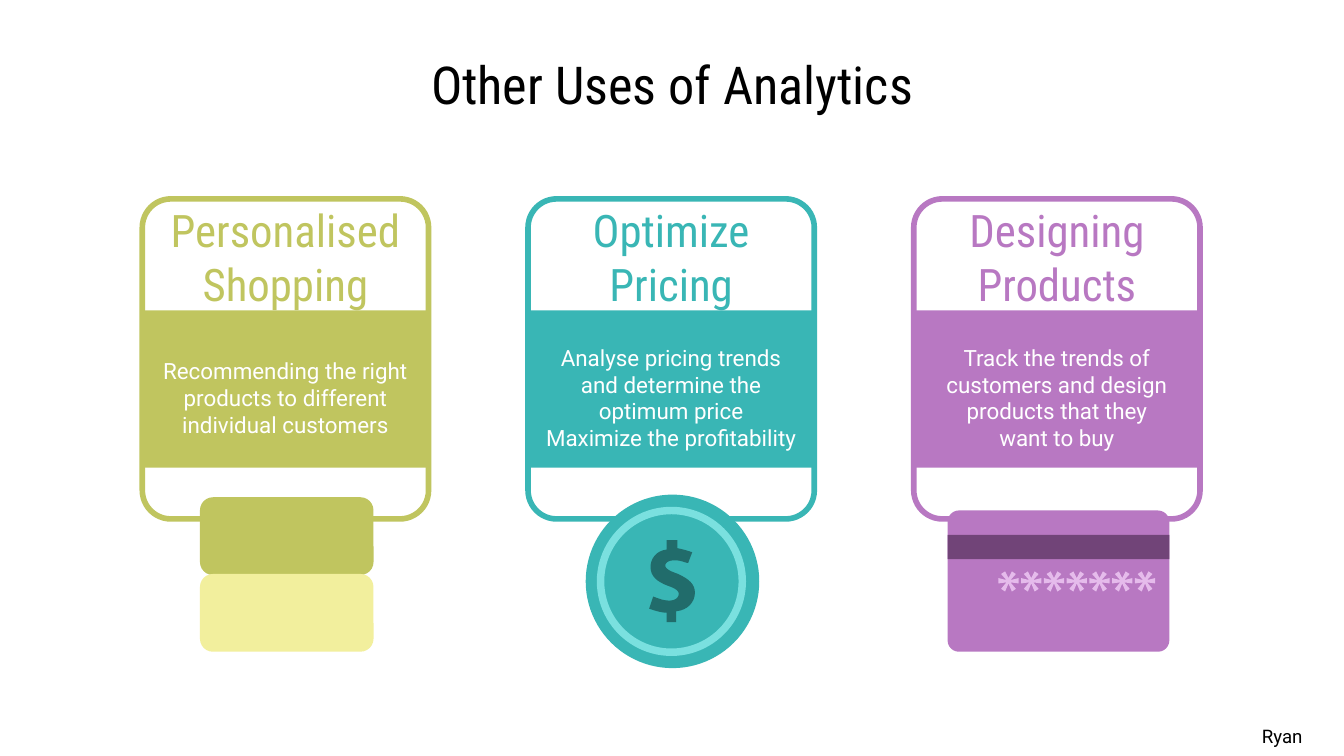
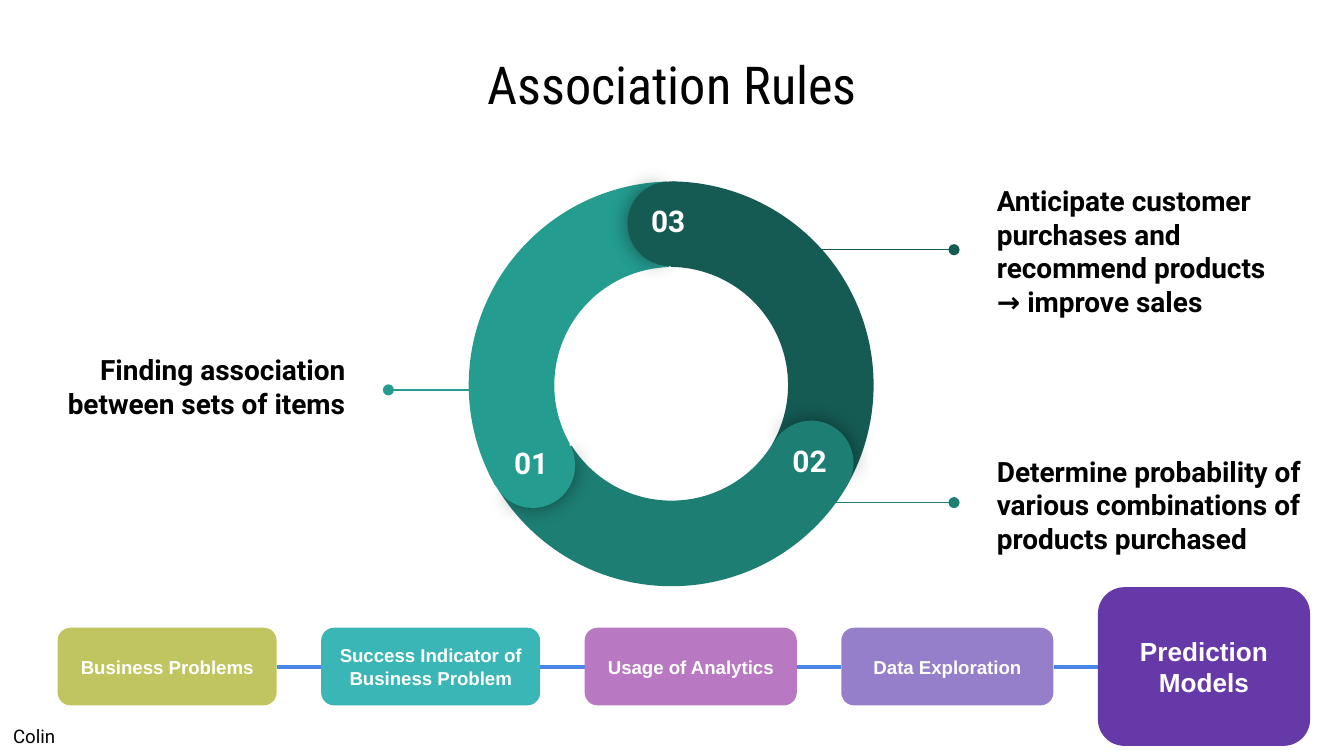
"""Build two slides: uses of analytics and association rules."""
from lxml import etree
from pptx import Presentation, util as u
from pptx.dml.color import RGBColor
from pptx.enum import shapes, text
from pptx.oxml.ns import qn

KIND, ANCHOR, ALIGN = shapes.MSO_SHAPE, text.MSO_ANCHOR, text.PP_ALIGN
BLACK, WHITE = RGBColor(0, 0, 0), RGBColor(255, 255, 255)
OLIVE, CREAM = RGBColor(0xC0, 0xC5, 0x5F), RGBColor(0xF2, 0xEF, 0x9D)
AQUA, MINT = RGBColor(0x39, 0xB6, 0xB5), RGBColor(0x7A, 0xE0, 0xDF)
DEEP = RGBColor(0x21, 0x6C, 0x6B)
ORCHID, PLUM = RGBColor(0xB8, 0x78, 0xC2), RGBColor(0x71, 0x44, 0x78)
PINK = RGBColor(0xE5, 0xBB, 0xEB)
LILAC, GRAPE = RGBColor(0x95, 0x7F, 0xCA), RGBColor(0x66, 0x39, 0xA8)
BLUE = RGBColor(0x4A, 0x86, 0xE8)
DARK, MID, TEAL = (RGBColor(0x15, 0x5B, 0x54), RGBColor(0x1D, 0x7E, 0x74),
                   RGBColor(0x24, 0x9C, 0x90))
BODY, HEAD, PLAIN = "Roboto", "Roboto Condensed", "Arial"

CARDS = [
    ("Personalised Shopping", OLIVE,
     ["Recommending the right products to different individual customers"]),
    ("Optimize Pricing", AQUA,
     ["Analyse pricing trends and determine the optimum price",
      "Maximize the profitability"]),
    ("Designing Products", ORCHID,
     ["Track the trends of customers and design products that they",
      "want to buy"]),
]
STEPS = [
    ("Business Problems", OLIVE, 4.14, 1.47, 10),
    ("Success Indicator of Business Problem", AQUA, 4.14, 1.47, 10),
    ("Usage of Analytics", ORCHID, 4.01, 1.47, 10),
    ("Data Exploration", LILAC, 4.01, 1.47, 10),
    ("Prediction Models", GRAPE, 4.01, 3, 14),
]
CALLS = [
    ("Finding association between sets of items", TEAL,
     (0.89, 5.51, 5.89, 3.58), ALIGN.RIGHT, (9.09, 7.34, 7.37)),
    ("Anticipate customer purchases and recommend products → improve sales",
     DARK, (18.59, 2.95, 5.89, 3.58), ALIGN.LEFT, (14.48, 18.03, 4.72)),
    ("Determine probability of various combinations of products purchased",
     MID, (18.59, 7.75, 6.4, 3.58), ALIGN.LEFT, (14.48, 18.03, 9.5)),
]
ARCS = [
    (DARK, 60, (8.81, 3.43), (126.23, 197.82, 0.21)),
    (MID, 180, (8.84, 3.38), (126.23, 196.63, 0.21)),
    (TEAL, 300, (8.86, 3.43), (126.23, 197.03, 0.21)),
]
CAPS = [
    ("01", TEAL, 300, (9.27, 8)),
    ("03", DARK, 60, (11.86, 3.43)),
    ("02", MID, 180, (14.53, 7.95)),
]
DOLLAR = [
    (13, 0), (13, 7), (5, 8, 1, 14, 1, 20), (1, 27, 6, 31, 14, 34),
    (20, 36, 22, 38, 22, 40), (22, 43, 19, 45, 15, 45),
    (10, 45, 6, 43, 3, 42), (0, 51), (3, 52, 8, 54, 13, 54), (13, 61),
    (20, 61), (20, 53), (29, 52, 34, 46, 34, 39), (34, 33, 30, 29, 21, 25),
    (15, 23, 12, 21, 12, 19), (12, 17, 14, 15, 19, 15),
    (24, 15, 27, 17, 29, 17), (32, 9), (29, 8, 26, 7, 21, 6), (21, 0),
]
SPOKES = [(0, -2.5), (-2.5, -7.5), (-5.5, -5.5), (-1.5, -1), (-7.5, -2.5),
          (-7.5, 1.5), (-1.5, 0.7), (-5.5, 5.5), (-2.5, 7.5), (0, 1.5)]
UNIT = 0.0254


def write(shape, lines, size, color, font=BODY, bold=False,
          align=ALIGN.CENTER, anchor=ANCHOR.MIDDLE, pad=0.25):
    frame = shape.text_frame
    frame.word_wrap = True
    frame.vertical_anchor = anchor
    frame.margin_left = frame.margin_right = u.Cm(0.25)
    frame.margin_top = frame.margin_bottom = u.Cm(pad)
    for i, line in enumerate(lines):
        para = frame.add_paragraph() if i else frame.paragraphs[0]
        para.alignment = align
        run = para.add_run()
        run.text = line
        run.font.size, run.font.bold = u.Pt(size), bold
        run.font.name, run.font.color.rgb = font, color


def label(slide, box, lines, *style, **more):
    write(slide.shapes.add_textbox(*map(u.Cm, box)), lines, *style, **more)


def paint(shape, fill, edge=None):
    shape.shadow.inherit = False
    shape.fill.solid()
    shape.fill.fore_color.rgb = fill
    if edge:
        shape.line.color.rgb, shape.line.width = edge, u.Pt(3)
    else:
        shape.line.fill.background()


def block(slide, kind, box, fill, edge=None, adj=(), turn=0):
    shape = slide.shapes.add_shape(kind, *map(u.Cm, box))
    for i, val in enumerate(adj):
        shape.adjustments[i] = val
    shape.rotation = turn % 360
    paint(shape, fill, edge)
    return shape


def glow(shape):
    effect = shape._element.spPr.find(qn("a:effectLst"))
    outer = etree.SubElement(effect, qn("a:outerShdw"), algn="ctr", dist="0",
                             blurRad=str(u.Pt(11.2)), rotWithShape="0")
    tint = etree.SubElement(outer, qn("a:srgbClr"), val=str(BLACK))
    etree.SubElement(tint, qn("a:alpha"), val="43000")


def line(slide, start, end, y, color, width, dot=False):
    link = slide.shapes.add_connector(
        shapes.MSO_CONNECTOR.STRAIGHT, *map(u.Cm, (start, y, end, y)))
    link.line.color.rgb, link.line.width = color, u.Pt(width)
    if dot:
        etree.SubElement(link.line._get_or_add_ln(), qn("a:tailEnd"),
                         type="oval")
    etree.SubElement(link._element.spPr, qn("a:effectLst"))


def trace(slide, x, y, points, fill):
    spots = [(u.Cm(x + a * UNIT), u.Cm(y + b * UNIT)) for a, b in points]
    pen = slide.shapes.build_freeform(*spots[0], scale=1.0)
    pen.add_line_segments(spots[1:], close=True)
    paint(pen.convert_to_shape(), fill)


def flatten(parts, count=8):
    points = [parts[0]]
    for part in parts[1:]:
        if len(part) == 2:
            points.append(part)
            continue
        ends = [points[-1], part[:2], part[2:4], part[4:]]
        for i in range(1, count + 1):
            t = i / count
            mix = ((1 - t) ** 3, 3 * t * (1 - t) ** 2,
                   3 * t * t * (1 - t), t ** 3)
            points.append(tuple(sum(m * e[k] for m, e in zip(mix, ends))
                                for k in (0, 1)))
    return points


def start(deck, title, name, left):
    slide = deck.slides.add_slide(deck.slide_layouts[6])
    label(slide, (6.86, 1.14, 11.68, 0.89), [title], 28, BLACK, HEAD)
    label(slide, (left, 13.49, 1.8, 0.8), [name], 10, BLACK,
          align=ALIGN.LEFT, anchor=ANCHOR.TOP)
    return slide


def uses(deck):
    slide = start(deck, "Other Uses of Analytics", "Ryan", 23.6)
    wide = 5.41
    for i, (head, color, lines) in enumerate(CARDS):
        x = 2.69 + i * 7.29
        block(slide, KIND.ROUNDED_RECTANGLE, (x, 3.76, wide, 6.05), WHITE,
              color, [0.1])
        block(slide, KIND.RECTANGLE, (x, 5.87, wide, 2.97), color)
        label(slide, (x, 4.29, wide, 1.12), [head], 24, color, HEAD, pad=0.13)
        label(slide, (x, 5.94, wide, 3.15), lines, 12, WHITE, pad=0.13)

    for y, color in ((9.4, OLIVE), (10.85, CREAM)):
        block(slide, KIND.ROUNDED_RECTANGLE, (3.78, y, 3.28, 1.47), color)

    block(slide, KIND.OVAL, (11.07, 9.35, 3.28, 3.28), AQUA)
    block(slide, KIND.DONUT, (11.28, 9.58, 2.82, 2.82), MINT, adj=[0.05])
    trace(slide, 12.27, 10.21, flatten(DOLLAR), DEEP)

    block(slide, KIND.ROUNDED_RECTANGLE, (17.91, 9.65, 4.19, 2.67), ORCHID,
          adj=[0.08])
    block(slide, KIND.RECTANGLE, (17.91, 10.11, 4.19, 0.46), PLUM)
    star = SPOKES + [(-x, y) for x, y in SPOKES[-2:0:-1]]
    for i in range(7):
        trace(slide, 19.06 + i * 0.43, 10.99, star, PINK)


def rules(deck):
    slide = start(deck, "Association Rules", "Colin", 0)
    x, mid, gap = 1.09, 12.6, 0.84
    for i, (name, color, wide, high, size) in enumerate(STEPS):
        if i:
            line(slide, x - gap, x, mid, BLUE, 2.25)
        step = block(slide, KIND.ROUNDED_RECTANGLE,
                     (x, mid - high / 2, wide, high), color)
        write(step, [name], size, WHITE, PLAIN, True)
        x += wide + gap

    for words, color, box, align, (near, far, y) in CALLS:
        label(slide, box, [words], 15, BLACK, bold=True, align=align)
        line(slide, near, far, y, color, 0.75, True)

    for color, turn, spot, adj in ARCS:
        block(slide, KIND.BLOCK_ARC, (*spot, 7.7, 7.7), color, None, adj, turn)
    for name, color, turn, spot in CAPS:
        box = (*spot, 1.6, 1.6)
        glow(block(slide, KIND.PIE, box, color, None, (61.9, 149.96),
                   turn - 59.3))
        block(slide, KIND.PIE, box, color, None, (40.28, 171.84), turn + 120)
    for name, color, turn, (x, y) in CAPS:
        label(slide, (x + 0.06, y + 0.16, 1.42, 0.74), [name], 16, WHITE,
              bold=True, anchor=ANCHOR.TOP)


def main():
    deck = Presentation()
    deck.slide_width, deck.slide_height = u.Cm(25.4), u.Cm(14.29)
    uses(deck)
    rules(deck)
    deck.save("out.pptx")


if __name__ == "__main__":
    main()
